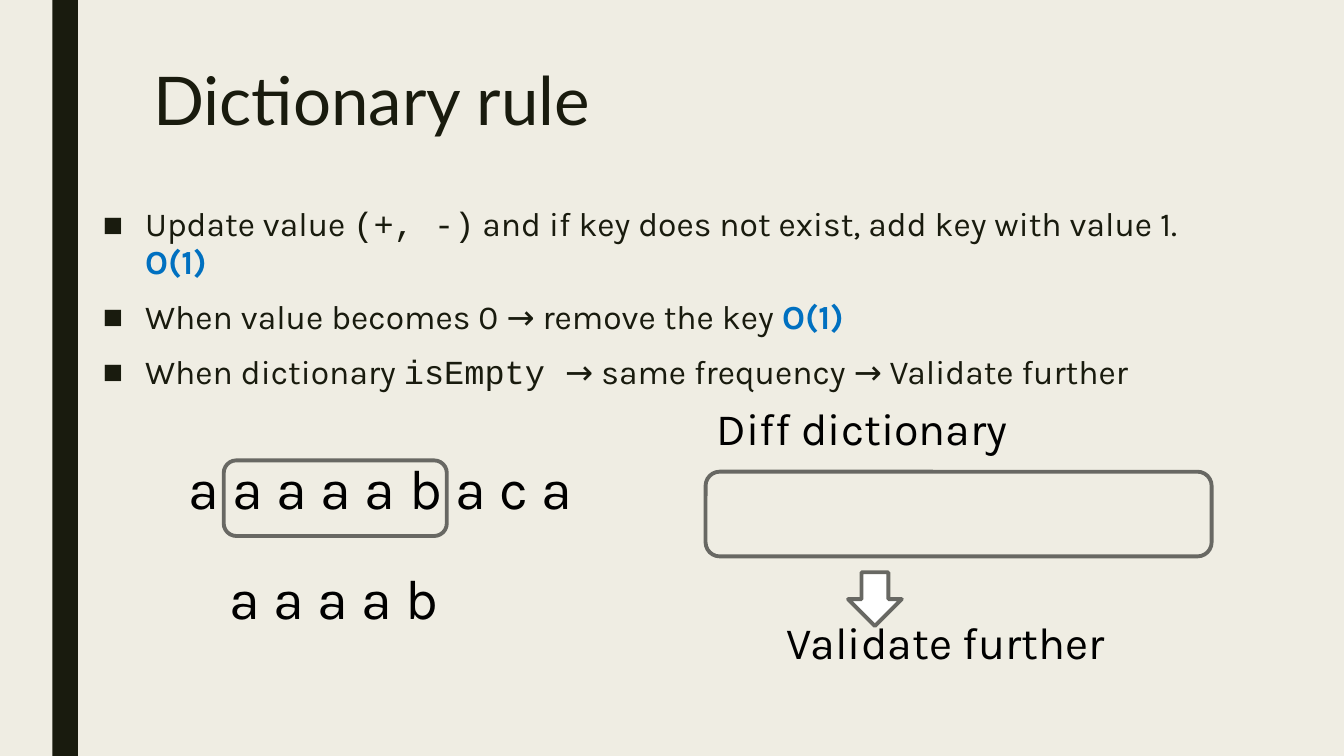
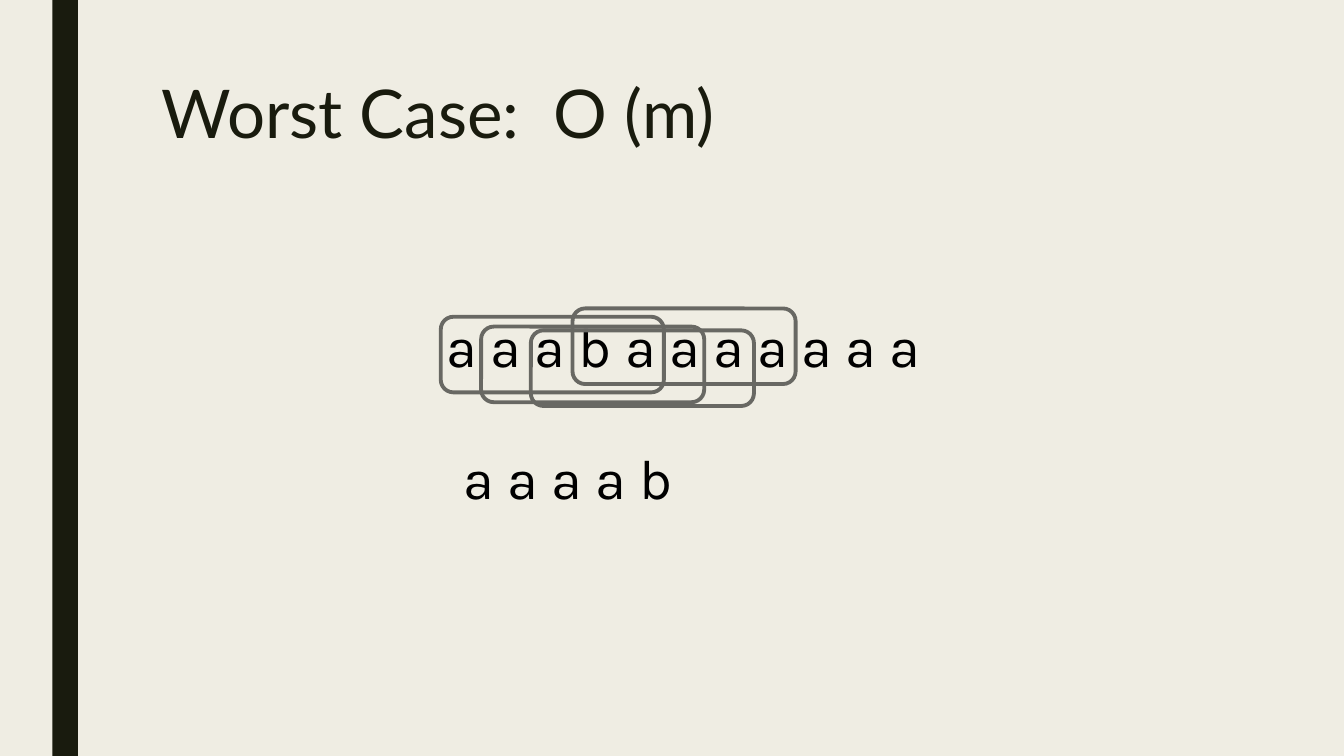
from dataclasses import dataclass

from lxml.etree import SubElement
from pptx import Presentation
from pptx.dml.color import RGBColor
from pptx.enum.shapes import MSO_SHAPE
from pptx.enum.text import MSO_ANCHOR, MSO_AUTO_SIZE, PP_ALIGN
from pptx.oxml.ns import qn
from pptx.util import Emu, Inches, Pt


@dataclass(frozen=True)
class Theme:
    paper: RGBColor = RGBColor(0xEF, 0xED, 0xE3)
    ink: RGBColor = RGBColor(0x19, 0x1B, 0x0E)
    black: RGBColor = RGBColor(0, 0, 0)
    white: RGBColor = RGBColor(255, 255, 255)
    outline: RGBColor = RGBColor(0x68, 0x68, 0x63)
    accent: RGBColor = RGBColor(0x00, 0x70, 0xC0)
    title_font: str = "Lato"
    body_font: str = "Karla"
    code_font: str = "Courier New"
    title_size: Pt = Pt(48)
    letter_size: Pt = Pt(40)
    label_size: Pt = Pt(32)
    body_size: Pt = Pt(24)
    outline_width: Pt = Pt(2.75)


THEME = Theme()
SLIDE_WIDTH, SLIDE_HEIGHT = Inches(13.33), Inches(7.5)
TITLE_ONLY_LAYOUT, TITLE_AND_BODY_LAYOUT = 5, 1
TITLE_SIZE = (78.75, 21.6)
WINDOW_SIZE = (16.6, 10)
LETTER_HEIGHT, LABEL_HEIGHT = 10.3, 8.5
PATTERN = "a a a a b"

# Each bullet is a list of (text, style) runs.
RULES = [
    [("Update value ", "plain"), ("(+, -)", "code"),
     (" and if key does not exist, add key with value 1. ", "plain"), ("O(1)", "cost")],
    [("When value becomes 0 → remove the key ", "plain"), ("O(1)", "cost")],
    [("When dictionary ", "plain"), ("isEmpty ", "code"),
     ("→ same frequency → Validate further", "plain")],
]


def place(left, top, width, height):
    """Turn percentages of the slide's width and height into lengths."""
    return (Emu(round(SLIDE_WIDTH * left / 100)), Emu(round(SLIDE_HEIGHT * top / 100)),
            Emu(round(SLIDE_WIDTH * width / 100)), Emu(round(SLIDE_HEIGHT * height / 100)))


def move(shape, box):
    shape.left, shape.top, shape.width, shape.height = place(*box)


def set_font(font, name, size, color):
    font.name, font.size = name, size
    font.color.rgb = color


def add_title_slide(presentation, layout, title, left, top):
    slide = presentation.slides.add_slide(presentation.slide_layouts[layout])
    shape = slide.shapes.title
    move(shape, (left, top, *TITLE_SIZE))
    frame = shape.text_frame
    frame.text = title
    frame.vertical_anchor = MSO_ANCHOR.TOP
    paragraph = frame.paragraphs[0]
    paragraph.alignment = PP_ALIGN.LEFT
    paragraph.line_spacing = 0.89
    set_font(paragraph.font, THEME.title_font, THEME.title_size, THEME.ink)
    return slide


def add_square_bullet(paragraph):
    properties = paragraph._p.get_or_add_pPr()
    indent = Inches(0.42)
    properties.set("marL", str(indent))
    properties.set("indent", str(-indent))
    SubElement(properties, qn("a:buFont")).set("typeface", "Arial")
    SubElement(properties, qn("a:buChar")).set("char", "■")


def fill_bullets(shape, bullets, box):
    move(shape, box)
    frame = shape.text_frame
    frame.auto_size = MSO_AUTO_SIZE.NONE
    for index, runs in enumerate(bullets):
        paragraph = frame.add_paragraph() if index else frame.paragraphs[0]
        add_square_bullet(paragraph)
        paragraph.line_spacing = 0.94
        paragraph.space_before = Pt(10 if index else 0)
        paragraph.space_after = Pt(2)
        set_font(paragraph.font, THEME.body_font, THEME.body_size, THEME.ink)
        for text, style in runs:
            run = paragraph.add_run()
            run.text = text
            if style == "code":
                run.font.name = THEME.code_font
            elif style == "cost":
                run.font.bold = True
                run.font.color.rgb = THEME.accent


def add_text(slide, text, size, box):
    frame = slide.shapes.add_textbox(*place(*box)).text_frame
    frame.word_wrap = True
    frame.text = text
    set_font(frame.paragraphs[0].font, THEME.body_font, size, THEME.black)


def add_outline(slide, box, kind=MSO_SHAPE.ROUNDED_RECTANGLE, fill=None):
    shape = slide.shapes.add_shape(kind, *place(*box))
    shape.shadow.inherit = False
    if fill is None:
        shape.fill.background()
    else:
        shape.fill.solid()
        shape.fill.fore_color.rgb = fill
    shape.line.color.rgb = THEME.outline
    shape.line.width = THEME.outline_width


def style_master(presentation):
    """Give the master the paper colour and the dark band."""
    master = presentation.slide_master
    master.background.fill.solid()
    master.background.fill.fore_color.rgb = THEME.paper
    band = presentation.slides[0].shapes.add_shape(
        MSO_SHAPE.RECTANGLE, *place(3.9, 0, 1.9, 100))
    band.shadow.inherit = False
    band.fill.solid()
    band.fill.fore_color.rgb = THEME.ink
    band.line.fill.background()
    # Shapes are made on a slide; the band then moves behind the master's own.
    band.element.nvSpPr.cNvPr.set("id", "100")
    master.shapes.element.insert(2, band.element)


def build_dictionary_rule(presentation):
    slide = add_title_slide(presentation, TITLE_AND_BODY_LAYOUT, "Dictionary rule", 10.65, 8.4)
    fill_bullets(slide.placeholders[1], RULES, (6.9, 26.67, 86.25, 22.4))
    add_text(slide, "a a a a a b a c a", THEME.letter_size, (13.3, 59.3, 33, LETTER_HEIGHT))
    add_outline(slide, (16.65, 60.9, *WINDOW_SIZE))
    add_text(slide, PATTERN, THEME.letter_size, (16.3, 73.9, 27.3, LETTER_HEIGHT))
    add_text(slide, "Diff dictionary", THEME.label_size, (52.6, 52.3, 27.3, LABEL_HEIGHT))
    add_outline(slide, (52.5, 62.4, 37.65, 11.2))
    add_outline(slide, (63.1, 75.7, 4, 7.1), MSO_SHAPE.DOWN_ARROW, THEME.white)
    add_text(slide, "Validate further", THEME.label_size, (57.8, 80.7, 27.3, LABEL_HEIGHT))


def build_worst_case(presentation):
    slide = add_title_slide(presentation, TITLE_ONLY_LAYOUT, "Worst Case:  O (m)", 11.25, 10)
    add_text(slide, "a a a b a a a a a a a", THEME.letter_size, (32.5, 40.5, 45, LETTER_HEIGHT))
    add_text(slide, PATTERN, THEME.letter_size, (33.75, 58, 27.3, LETTER_HEIGHT))
    for left, top in ((32.8, 41.9), (35.8, 43.2), (39.5, 43.7), (42.6, 40.8)):
        add_outline(slide, (left, top, *WINDOW_SIZE))


def main():
    presentation = Presentation()
    presentation.slide_width, presentation.slide_height = SLIDE_WIDTH, SLIDE_HEIGHT
    build_dictionary_rule(presentation)
    build_worst_case(presentation)
    style_master(presentation)
    presentation.save("out.pptx")


if __name__ == "__main__":
    main()
